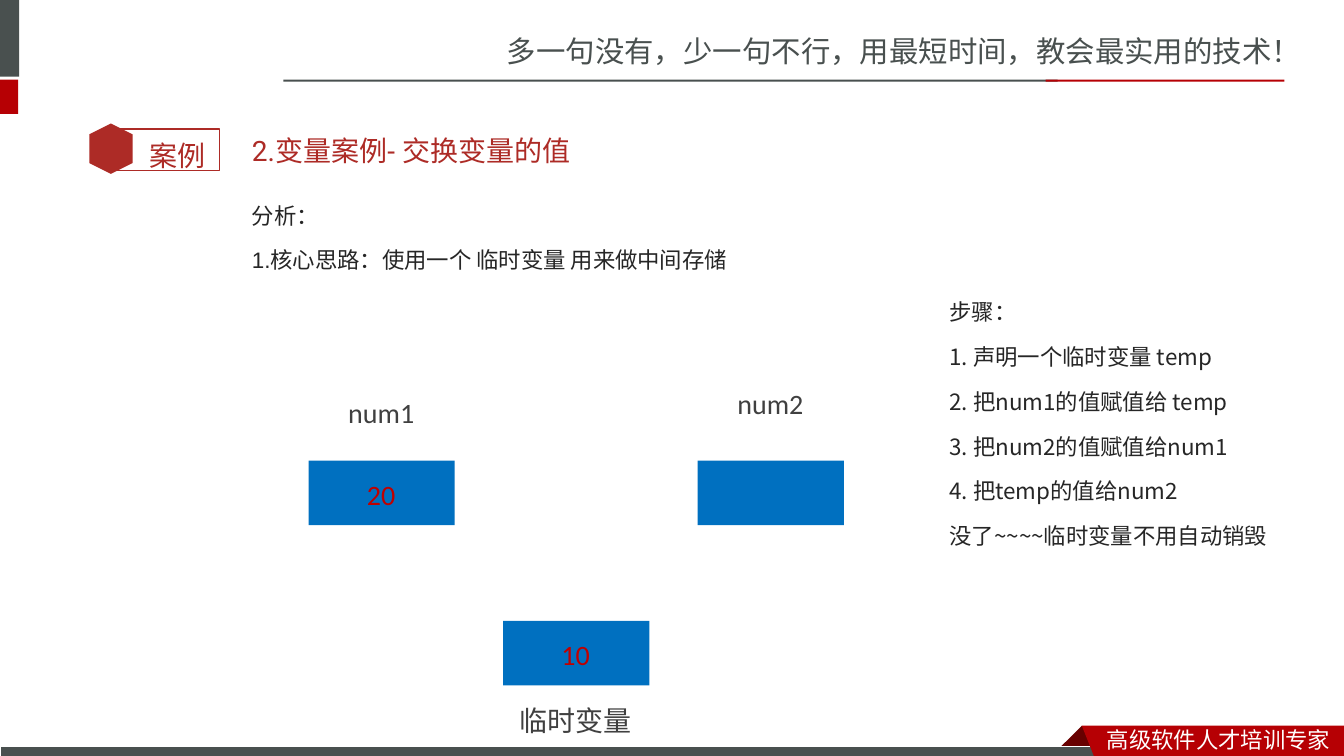
"""Build the slide on swapping two variables through a temporary one."""
from lxml import etree
from pptx import Presentation
from pptx.dml.color import RGBColor
from pptx.enum.shapes import MSO_SHAPE
from pptx.enum.text import MSO_ANCHOR, MSO_AUTO_SIZE
from pptx.oxml.ns import qn
from pptx.util import Inches, Pt

RECT, HEXAGON = MSO_SHAPE.RECTANGLE, MSO_SHAPE.HEXAGON
TOP, MIDDLE = MSO_ANCHOR.TOP, MSO_ANCHOR.MIDDLE
WIDTH, HEIGHT = 13.33, 7.5
SANS, SANS_JP = "Noto Sans CJK SC", "Noto Sans CJK JP"
COLORS = {
    "slate": "49504F", "red": "B60004", "dark red": "680000", "brick": "AD2B26",
    "blue": "0070C0", "value": "C00000", "label": "404040", "body": "262626",
    "white": "FFFFFF",
}

FRAME_BARS = [
    (0, 0, 0.19, 0.76, "slate"),
    (0, 0.79, 0.18, 0.34, "red"),
    (2.81, 0.79, 7.68, 0.02, "slate"),
    (10.37, 0.79, 2.37, 0.02, "red"),
]
RIBBON_FOLD = [(10.73, 7.2), (10.95, 7.42), (10.94, 7.43), (10.52, 7.43), (10.51, 7.42)]
RIBBON = [(10.73, 7.2), (WIDTH, 7.2), (WIDTH, HEIGHT), (10.85, HEIGHT)]

SLOGAN = "多一句没有，少一句不行，用最短时间，教会最实用的技术！"
MOTTO = "高级软件人才培训专家"
BADGE = "案例"
HEADING = "2.变量案例- 交换变量的值"
ANALYSIS = ["分析：", "1.核心思路：使用一个 临时变量 用来做中间存储"]
STEPS = [
    "步骤：",
    "1. 声明一个临时变量 temp",
    "2. 把num1的值赋值给 temp",
    "3. 把num2的值赋值给num1",
    "4. 把temp的值给num2",
    "没了~~~~临时变量不用自动销毁",
]

CELL_WIDTH, CELL_HEIGHT = 1.45, 0.64
CELL_LEFT, CELL_STEP = 3.06, 1.93
CELLS = [
    ("num1", "20", 0, 4.57, 3.87),
    ("临时变量", "10", 1, 6.16, 6.93),
    ("num2", "", 2, 4.57, 3.79),
]
LABEL_WIDTHS = {"num1": 0.86, "num2": 0.86, "临时变量": 1.32}
VALUE_WIDTH, LABEL_HEIGHT = 0.49, 0.44


def paint(shape, fill=None, line=None, line_width=1):
    shape.shadow.inherit = False
    if fill:
        shape.fill.solid()
        shape.fill.fore_color.rgb = RGBColor.from_string(COLORS[fill])
    else:
        shape.fill.background()
    if line:
        shape.line.color.rgb = RGBColor.from_string(COLORS[line])
        shape.line.width = Pt(line_width)
    else:
        shape.line.fill.background()


def add_block(page, area, fill=None, kind=RECT, **outline):
    shape = page.shapes.add_shape(kind, *map(Inches, area))
    paint(shape, fill, **outline)
    return shape


def add_outline(page, points, fill):
    corners = [(Inches(x), Inches(y)) for x, y in points]
    builder = page.shapes.build_freeform(*corners[0])
    builder.add_line_segments(corners[1:], close=True)
    paint(builder.convert_to_shape(), fill)


def add_text(page, area, lines, size, font, color, east_asian=SANS,
             spacing=None, before=0, anchor=TOP, wrap=True):
    box = page.shapes.add_textbox(*map(Inches, area))
    frame = box.text_frame
    frame.word_wrap = wrap
    frame.auto_size = MSO_AUTO_SIZE.NONE
    frame.vertical_anchor = anchor
    frame.text = "\n".join(lines)
    for para in frame.paragraphs:
        para.line_spacing = spacing
        para.space_before = Pt(before)
        para.font.size = Pt(size)
        para.font.name = font
        para.font.color.rgb = RGBColor.from_string(COLORS[color])
        latin = para.font._element.find(qn("a:latin"))
        face = etree.Element(qn("a:ea"), typeface=east_asian)
        latin.addnext(face)


def add_frame(page):
    add_text(page, (4.93, 0.28, 8.4, 0.47), [SLOGAN], 21, SANS, "slate")
    for *area, color in FRAME_BARS:
        add_block(page, area, color)
    add_outline(page, RIBBON_FOLD, "dark red")
    add_block(page, (0, 7.41, 10.99, 0.12), "slate", line="white", line_width=0.75)
    add_outline(page, RIBBON, "red")
    add_text(page, (10.88, 7.15, 2.45, 0.37), [MOTTO], 16, SANS, "white")


def add_badge(page):
    add_block(page, (1.09, 1.28, 1.09, 0.41), line="brick")
    hexagon = add_block(page, (0.85, 1.26, 0.5, 0.43), "brick", HEXAGON)
    hexagon.rotation = 90
    add_text(page, (1.38, 1.16, 0.85, 0.56), [BADGE], 20, "Arial", "brick", spacing=1.5)


def add_cells(page):
    for name, value, column, top, label_top in CELLS:
        left = CELL_LEFT + column * CELL_STEP
        middle = left + CELL_WIDTH / 2
        add_block(page, (left, top, CELL_WIDTH, CELL_HEIGHT), "blue")
        width = LABEL_WIDTHS[name]
        add_text(page, (middle - width / 2, label_top, width, LABEL_HEIGHT),
                 [name], 20, "Calibri", "label", wrap=False)
        if value:
            add_text(page, (middle - VALUE_WIDTH / 2, top + 0.12, VALUE_WIDTH, LABEL_HEIGHT),
                     [value], 20, "Calibri", "value", wrap=False)


def main():
    deck = Presentation()
    deck.slide_width, deck.slide_height = Inches(WIDTH), Inches(HEIGHT)
    page = deck.slides.add_slide(deck.slide_layouts[6])
    add_frame(page)
    add_badge(page)
    add_text(page, (2.4, 1.21, 10.08, 0.57), [HEADING], 20, "Roboto", "brick",
             before=4, anchor=MIDDLE)
    add_text(page, (2.4, 1.82, 10.08, 4.98), ANALYSIS, 16, "Arial", "body",
             SANS_JP, spacing=1.5, before=3.2)
    add_cells(page)
    add_text(page, (9.32, 2.78, 3.5, 2.63), STEPS, 16, SANS_JP, "body",
             SANS_JP, spacing=1.5, before=3.2)
    deck.save("out.pptx")


if __name__ == "__main__":
    main()
